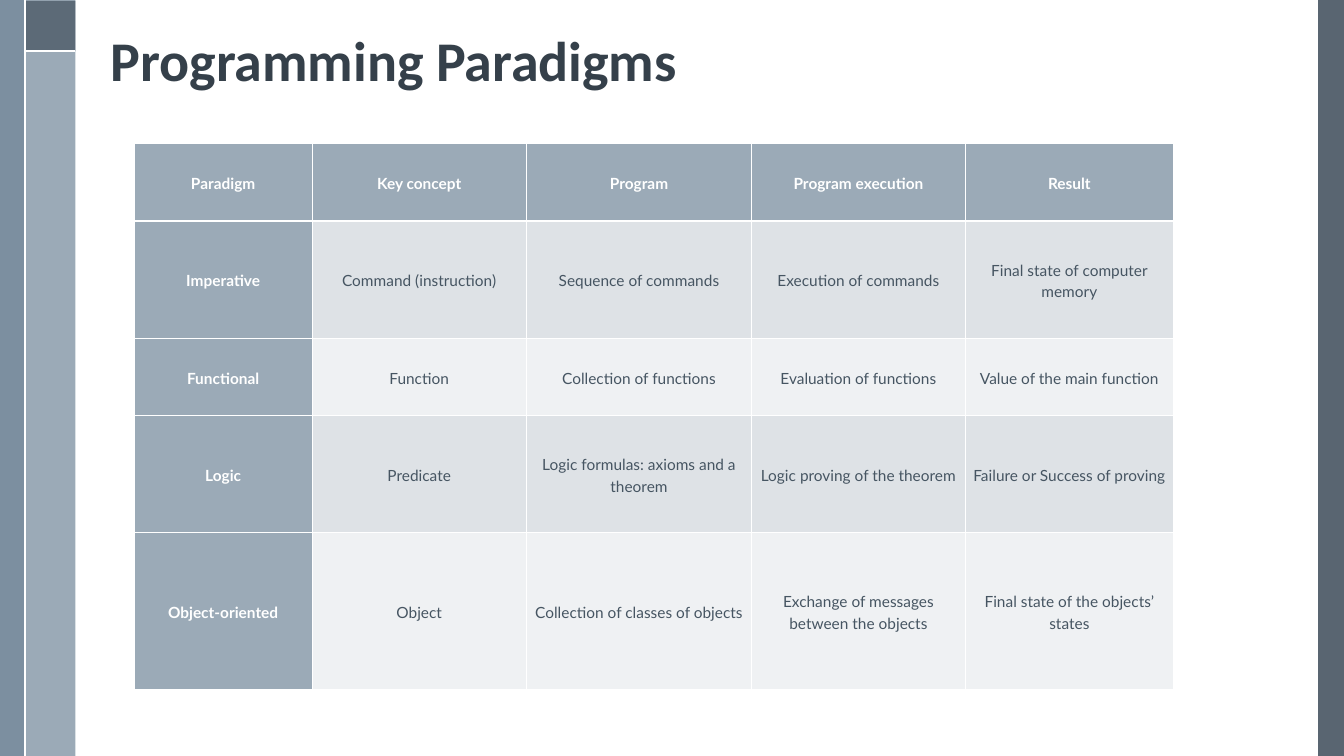
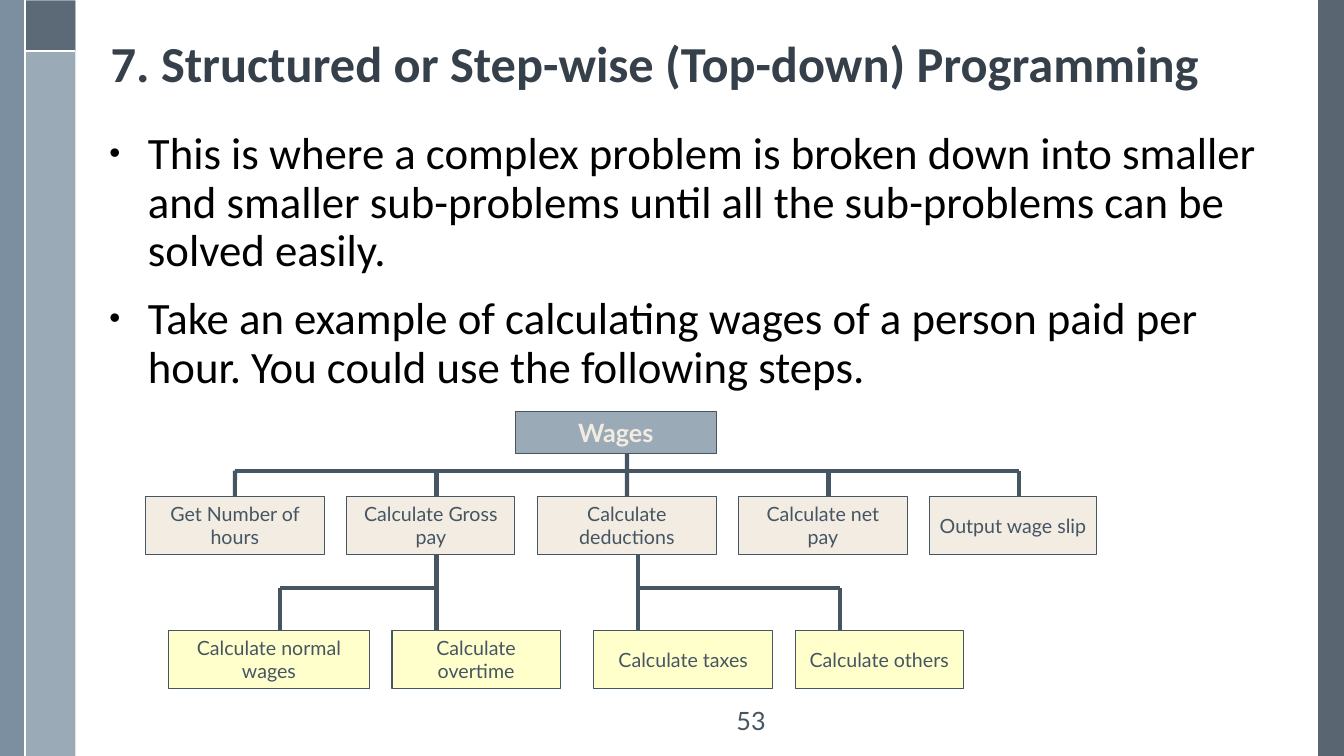
import dataclasses

import lxml.etree
import pptx
import pptx.dml.color
import pptx.enum.shapes
import pptx.enum.text
import pptx.oxml.ns
import pptx.util

Cm = pptx.util.Cm
Pt = pptx.util.Pt
qn = pptx.oxml.ns.qn
ALIGN = pptx.enum.text.PP_ALIGN
ANCHOR = pptx.enum.text.MSO_ANCHOR


@dataclasses.dataclass(frozen=True)
class Theme:
    width: float = 33.87
    height: float = 19.05
    heading_font: str = "Calibri"
    label_font: str = "Lato"
    title: str = "35404A"
    body: str = "000000"
    slate: str = "465562"
    edge: str = "475562"
    steel: str = "6A8093"
    mist: str = "9BAAB7"
    white: str = "FFFFFF"
    cream: str = "F2ECE2"
    yellow: str = "FFFFCC"
    row_dark: str = "DEE2E6"
    row_light: str = "EFF1F3"
    title_size: int = 40
    long_title_size: int = 36
    body_size: int = 32
    root_size: int = 18
    step_size: int = 14
    cell_size: int = 11
    number_size: int = 18


THEME = Theme()

COLUMN_WIDTHS = [4.47, 5.41, 5.67, 5.39, 5.24]
ROW_HEIGHTS = [1.95, 2.95, 1.95, 2.95, 3.96]
PARADIGMS = [
    ["Paradigm", "Key concept", "Program", "Program execution", "Result"],
    ["Imperative", "Command (instruction)", "Sequence of commands",
     "Execution of commands", "Final state of computer memory"],
    ["Functional", "Function", "Collection of functions",
     "Evaluation of functions", "Value of the main function"],
    ["Logic", "Predicate", "Logic formulas: axioms and a theorem",
     "Logic proving of the theorem", "Failure or Success of proving"],
    ["Object-oriented", "Object", "Collection of classes of objects",
     "Exchange of messages between the objects",
     "Final state of the objects’ states"],
]

EXPLANATION = [
    "This is where a complex problem is broken down into smaller and smaller "
    "sub-problems until all the sub-problems can be solved easily.",
    "Take an example of calculating wages of a person paid per hour. "
    "You could use the following steps.",
]

STEP_HEIGHT = 1.47
STEP_GAP = 0.56
DROP_OFFSET = 2.26
MAIN_STEPS = [("Get Number of hours", 4.52), ("Calculate Gross pay", 4.24),
              ("Calculate deductions", 4.52), ("Calculate net pay", 4.24),
              ("Output wage slip", 4.22)]
GROSS_STEPS = [("Calculate normal wages", 5.08), ("Calculate overtime", 4.24)]
DEDUCTION_STEPS = [("Calculate taxes", 4.52), ("Calculate others", 4.24)]


def rgb(color):
    return pptx.dml.color.RGBColor.from_string(color)


def add_bullet(paragraph, color):
    properties = paragraph._p.get_or_add_pPr()
    properties.set("marL", str(Cm(0.97)))
    properties.set("indent", str(-Cm(0.97)))
    bullet_color = lxml.etree.SubElement(properties, qn("a:buClr"))
    lxml.etree.SubElement(bullet_color, qn("a:srgbClr"), val=color)
    lxml.etree.SubElement(properties, qn("a:buSzPct"), val="70000")
    lxml.etree.SubElement(properties, qn("a:buFont"), typeface="Arial")
    lxml.etree.SubElement(properties, qn("a:buChar"), char="•")


def write(frame, lines, *, size, color, font=THEME.label_font, bold=False,
          align=ALIGN.LEFT, spacing=1.0, gap=0, bullet=False):
    frame.word_wrap = True
    for index, line in enumerate(lines):
        paragraph = frame.paragraphs[0] if index == 0 else frame.add_paragraph()
        if bullet:
            add_bullet(paragraph, color)
        paragraph.alignment = align
        paragraph.line_spacing = spacing
        paragraph.space_before = Pt(gap if index else 0)
        run = paragraph.add_run()
        run.text = line
        run.font.size = Pt(size)
        run.font.name = font
        run.font.bold = bold
        run.font.color.rgb = rgb(color)


def add_text(slide, left, top, width, height, lines, anchor=ANCHOR.TOP, **style):
    box = slide.shapes.add_textbox(Cm(left), Cm(top), Cm(width), Cm(height))
    box.text_frame.vertical_anchor = anchor
    write(box.text_frame, lines, **style)


def add_rectangle(slide, left, top, width, height, fill, outline=None, opacity=100):
    rectangle = slide.shapes.add_shape(
        pptx.enum.shapes.MSO_SHAPE.RECTANGLE,
        Cm(left), Cm(top), Cm(width), Cm(height))
    rectangle.shadow.inherit = False
    rectangle.fill.solid()
    rectangle.fill.fore_color.rgb = rgb(fill)
    if opacity < 100:
        fill_color = next(rectangle.element.iter(qn("a:srgbClr")))
        lxml.etree.SubElement(fill_color, qn("a:alpha"), val=str(opacity * 1000))
    if outline:
        rectangle.line.color.rgb = rgb(outline)
        rectangle.line.width = Pt(0.75)
    else:
        rectangle.line.fill.background()
    return rectangle


def add_line(slide, start, end, color=THEME.slate, weight=3):
    line = slide.shapes.add_connector(
        pptx.enum.shapes.MSO_CONNECTOR.STRAIGHT,
        Cm(start[0]), Cm(start[1]), Cm(end[0]), Cm(end[1]))
    line.line.color.rgb = rgb(color)
    line.line.width = Pt(weight)
    lxml.etree.SubElement(line.element.spPr, qn("a:effectLst"))
    return line


def add_slide(deck, title, title_size):
    slide = deck.slides.add_slide(deck.slide_layouts[6])
    height = THEME.height
    add_rectangle(slide, 33.22, 0, 0.65, height, THEME.edge, opacity=90)
    add_rectangle(slide, 0.65, 0, 1.25, height, THEME.mist)
    add_rectangle(slide, 0, 0, 0.63, height, THEME.steel, opacity=88)
    add_rectangle(slide, 0.63, 0.02, 1.27, 1.26, THEME.edge, opacity=75)
    add_line(slide, (0.63, 1.28), (1.9, 1.28), THEME.white, 1.5)
    add_line(slide, (0.63, 0), (0.63, height), THEME.white, 1.5)
    add_text(slide, 2.54, 0.48, 30.28, 2.01, [title], ANCHOR.BOTTOM,
             size=title_size, color=THEME.title, font=THEME.heading_font,
             bold=True, spacing=0.9)
    return slide


def set_borders(cell, weights):
    properties = cell._tc.get_or_add_tcPr()
    for side, weight in weights.items():
        border = lxml.etree.SubElement(properties, qn("a:ln" + side),
                                       w=str(Pt(weight)))
        fill = lxml.etree.SubElement(border, qn("a:solidFill"))
        lxml.etree.SubElement(fill, qn("a:srgbClr"), val=THEME.white)


def add_grid(slide, left, top, rows):
    grid = slide.shapes.add_table(
        len(rows), len(rows[0]), Cm(left), Cm(top),
        Cm(sum(COLUMN_WIDTHS)), Cm(sum(ROW_HEIGHTS))).table
    grid.first_col = True
    for column, width in zip(grid.columns, COLUMN_WIDTHS):
        column.width = Cm(width)
    for row_index, (row, height) in enumerate(zip(grid.rows, ROW_HEIGHTS)):
        row.height = Cm(height)
        for column_index, cell in enumerate(row.cells):
            heading = row_index == 0 or column_index == 0
            band = THEME.row_dark if row_index % 2 else THEME.row_light
            set_borders(cell, {"L": 0.45, "R": 0.45,
                               "T": 1.47 if row_index == 1 else 0.45,
                               "B": 1.47 if row_index == 0 else 0.45})
            cell.fill.solid()
            cell.fill.fore_color.rgb = rgb(THEME.mist if heading else band)
            cell.vertical_anchor = ANCHOR.MIDDLE
            cell.margin_left = cell.margin_right = Cm(0.19)
            cell.margin_top = cell.margin_bottom = Cm(0.13)
            write(cell.text_frame, [rows[row_index][column_index]],
                  size=THEME.cell_size, bold=heading, align=ALIGN.CENTER,
                  color=THEME.white if heading else THEME.slate, spacing=1.15)


def add_step(slide, left, top, width, height, label, fill,
             size=THEME.step_size, color=THEME.slate, bold=False):
    step = add_rectangle(slide, left, top, width, height, fill, THEME.slate)
    step.text_frame.vertical_anchor = ANCHOR.MIDDLE
    write(step.text_frame, [label], size=size, color=color, bold=bold,
          align=ALIGN.CENTER)
    return step


def add_step_row(slide, left, top, steps, fill):
    boxes, lefts = [], []
    for label, width in steps:
        boxes.append(add_step(slide, left, top, width, STEP_HEIGHT, label, fill))
        lefts.append(left)
        left += width + STEP_GAP
    return boxes, lefts


def add_wages_chart(slide):
    root_bottom, main_rail, main_top = 11.43, 11.86, 12.5
    main_bottom, sub_rail, sub_top = main_top + STEP_HEIGHT, 14.82, 15.88

    add_step(slide, 12.98, 10.36, 5.08, 1.07, "Wages", THEME.mist,
             THEME.root_size, THEME.cream, True)
    boxes, lefts = add_step_row(slide, 3.66, main_top, MAIN_STEPS, THEME.cream)
    add_step_row(slide, 4.24, sub_top, GROSS_STEPS, THEME.yellow)
    add_step_row(slide, 14.96, sub_top, DEDUCTION_STEPS, THEME.yellow)

    drops = [left + DROP_OFFSET for left in lefts]
    add_line(slide, (drops[0], main_rail), (drops[-1], main_rail))
    for index, drop in enumerate(drops):
        start = root_bottom if index == 2 else main_rail
        line = add_line(slide, (drop, start), (drop, main_top))
        if index in (0, 2):
            line.end_connect(boxes[index], 0)

    for stem, branch in [(drops[1], 7.06), (16.08, 21.16)]:
        add_line(slide, (stem, sub_top), (stem, main_bottom))
        add_line(slide, (stem, sub_rail), (branch, sub_rail))
        add_line(slide, (branch, sub_top), (branch, sub_rail))


def main():
    deck = pptx.Presentation()
    deck.slide_width = Cm(THEME.width)
    deck.slide_height = Cm(THEME.height)

    paradigms = add_slide(deck, "Programming Paradigms", THEME.title_size)
    add_grid(paradigms, 3.39, 3.62, PARADIGMS)

    structured = add_slide(
        deck, "7. Structured or Step-wise (Top-down) Programming",
        THEME.long_title_size)
    add_text(structured, 18.31, 17.65, 11.05, 1.02, ["53"],
             size=THEME.number_size, color=THEME.slate)
    add_text(structured, 2.51, 3.18, 30.28, 7, EXPLANATION,
             size=THEME.body_size, color=THEME.body, font=THEME.heading_font,
             spacing=0.9, gap=14, bullet=True)
    add_wages_chart(structured)

    deck.save("out.pptx")


if __name__ == "__main__":
    main()
